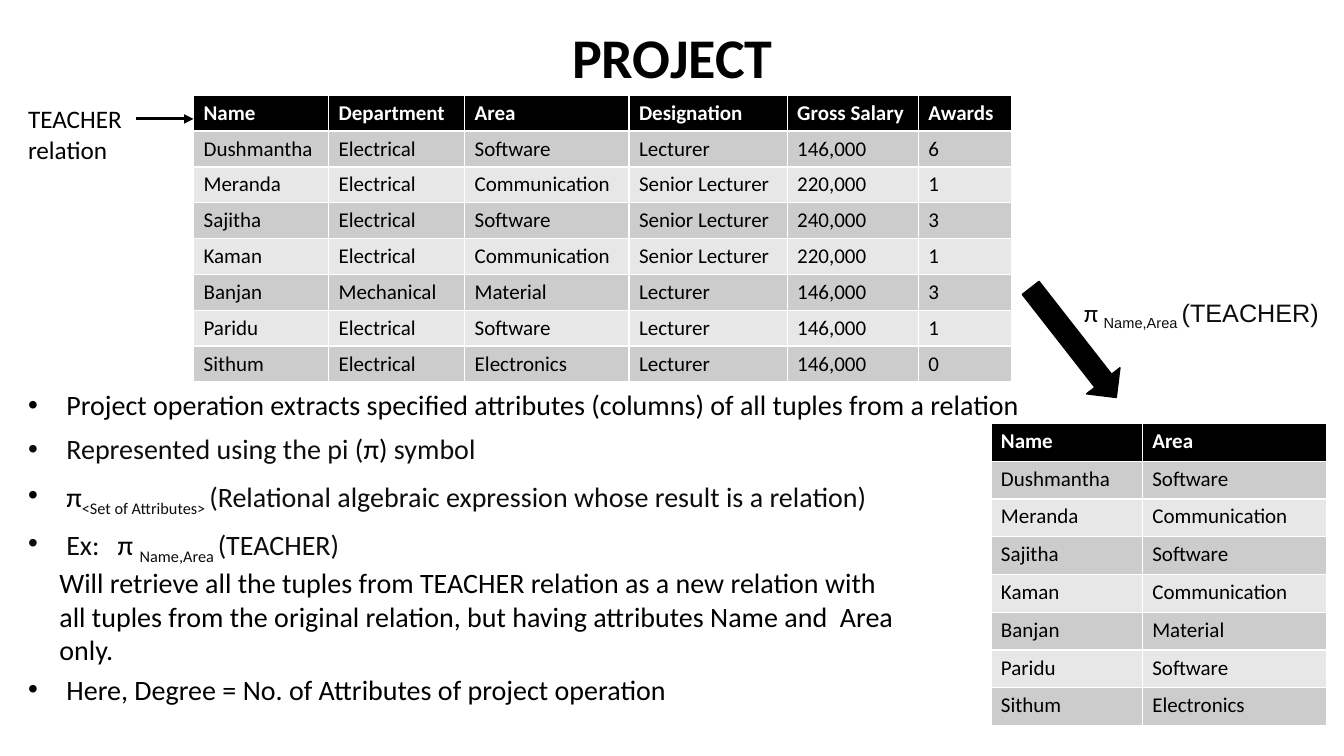
from lxml.etree import SubElement
from pptx import Presentation
from pptx.dml.color import RGBColor
from pptx.enum.shapes import MSO_CONNECTOR as Connector, MSO_SHAPE as Shape
from pptx.enum.text import MSO_ANCHOR as Anchor, MSO_AUTO_SIZE as AutoSize, PP_ALIGN as Align
from pptx.oxml.ns import qn
from pptx.util import Inches, Pt

COLORS = {"black": "000000", "ink": "0D0D0D", "white": "FFFFFF", "dark_band": "CCCCCC", "light_band": "E7E7E7"}
SLIDE_WIDTH, SLIDE_HEIGHT = Inches(13.333), Inches(7.5)
INDENT = Inches(0.38)

TEACHER = [
    ("Name", "Department", "Area", "Designation", "Gross Salary", "Awards"),
    ("Dushmantha", "Electrical", "Software", "Lecturer", "146,000", "6"),
    ("Meranda", "Electrical", "Communication", "Senior Lecturer", "220,000", "1"),
    ("Sajitha", "Electrical", "Software", "Senior Lecturer", "240,000", "3"),
    ("Kaman", "Electrical", "Communication", "Senior Lecturer", "220,000", "1"),
    ("Banjan", "Mechanical", "Material", "Lecturer", "146,000", "3"),
    ("Paridu", "Electrical", "Software", "Lecturer", "146,000", "1"),
    ("Sithum", "Electrical", "Electronics", "Lecturer", "146,000", "0"),
]
PROJECTION = [(row[0], row[2]) for row in TEACHER]

RULES = [
    [("Project operation extracts specified attributes (columns) of all tuples from a relation", {})],
    [("Represented using the pi (", {"color": "ink"}), ("π)", {}), (" symbol", {"color": "ink"})],
    [("π", {}), ("<Set of Attributes> ", {"color": "ink", "sub": True}),
     ("(Relational algebraic expression whose result is a relation)", {"color": "ink"})],
    [("Ex:\t", {"color": "ink"}), ("π ", {}), ("Name,Area ", {"color": "ink", "sub": True}),
     ("(TEACHER)", {"color": "ink"})],
]
RETRIEVAL = ("Will retrieve all the tuples from TEACHER relation as a new relation with all tuples from "
             "the original relation, but having attributes Name and  Area only.")
DEGREE = "Here, Degree = No. of Attributes of project operation"
FORMULA = [(" ", {"color": "ink"}), ("π ", {}), ("Name,Area ", {"color": "ink", "font": "Arial", "sub": True}),
           ("(TEACHER)", {"color": "ink", "font": "Arial"})]


def area(left, top, width, height):
    """Turn percentages of the slide into a box in slide units."""
    return (round(SLIDE_WIDTH * left / 100), round(SLIDE_HEIGHT * top / 100),
            round(SLIDE_WIDTH * width / 100), round(SLIDE_HEIGHT * height / 100))


def paint(fill, color):
    """Give a fill one solid colour."""
    fill.solid()
    fill.fore_color.rgb = RGBColor.from_string(COLORS[color])


def add_run(paragraph, words, size, color="black", font="Calibri", bold=False, sub=False):
    """Append one styled run to a paragraph."""
    run = paragraph.add_run()
    run.text = words
    run.font.size, run.font.name, run.font.bold = Pt(size), font, bold
    run.font.color.rgb = RGBColor.from_string(COLORS[color])
    if sub:
        run._r.get_or_add_rPr().set("baseline", "-25000")


def add_bullet(paragraph):
    """Give a paragraph a hanging bullet and a tab stop for the example."""
    props = paragraph._p.get_or_add_pPr()
    props.set("marL", str(INDENT))
    props.set("indent", str(-INDENT))
    SubElement(props, qn("a:buFont"), typeface="Arial")
    SubElement(props, qn("a:buChar"), char="•")
    stops = SubElement(props, qn("a:tabLst"))
    SubElement(stops, qn("a:tab"), pos=str(Inches(0.89)), algn="l")


def add_text(slide, box, lines, size, bold=False, bullet=False, spacing=None, before=0,
             align=Align.LEFT, anchor=Anchor.TOP, wrap=True):
    """Write lines of styled runs in the given box."""
    frame = slide.shapes.add_textbox(*box).text_frame
    frame.word_wrap, frame.vertical_anchor, frame.auto_size = wrap, anchor, AutoSize.NONE
    for index, runs in enumerate(lines):
        paragraph = frame.add_paragraph() if index else frame.paragraphs[0]
        paragraph.alignment = align
        if spacing:
            paragraph.line_spacing, paragraph.space_before = spacing, Pt(before)
        if bullet:
            add_bullet(paragraph)
        for words, style in runs:
            add_run(paragraph, words, size, bold=bold, **style)


def add_relation(slide, box, rows, shares):
    """Fill the given box with a relation whose columns take the given shares."""
    table = slide.shapes.add_table(len(rows), len(shares), *box).table
    for column, share in zip(table.columns, shares):
        column.width = round(box[2] * share / sum(shares))
    for index, values in enumerate(rows):
        header = index == 0
        table.rows[index].height = round(box[3] / len(rows))
        band = "black" if header else "dark_band" if index % 2 else "light_band"
        for cell, value in zip(table.rows[index].cells, values):
            paint(cell.fill, band)
            add_run(cell.text_frame.paragraphs[0], value, 15, "white" if header else "black", bold=header)


def add_pointer(slide, box):
    """Draw a thin arrow along the top of the box, from left to right."""
    left, top, width, _ = box
    pointer = slide.shapes.add_connector(Connector.STRAIGHT, left, top, left + width, top)
    pointer.line.width = Pt(2.25)
    paint(pointer.line.fill, "black")
    SubElement(pointer.line._get_or_add_ln(), qn("a:tailEnd"), type="triangle")
    SubElement(pointer._element.spPr, qn("a:effectLst"))


def add_projection_arrow(slide, box):
    """Draw the block arrow that leads to the projected relation."""
    arrow = slide.shapes.add_shape(Shape.DOWN_ARROW, *box)
    arrow.rotation = 322
    arrow.shadow.inherit = False
    paint(arrow.fill, "black")
    paint(arrow.line.fill, "black")
    arrow.line.width = Pt(1)


def add_project_slide(deck):
    """Build the slide on the project operation."""
    slide = deck.slides.add_slide(deck.slide_layouts[6])
    add_text(slide, area(8.78, 1.07, 82.5, 11.6), [[("PROJECT", {})]], 40, bold=True,
             spacing=0.9, align=Align.CENTER, anchor=Anchor.BOTTOM)
    add_text(slide, area(1.35, 51.07, 76.65, 28.13), RULES, 20, bullet=True, spacing=0.9, before=10)
    add_relation(slide, area(14.4, 12.6, 60.9, 37.87), TEACHER, (1.34, 1.35, 1.63, 1.57, 1.3, 0.93))
    add_text(slide, area(1.35, 13.07, 10.2, 9.47), [[("TEACHER", {})], [("relation", {})]], 18)
    add_pointer(slide, area(10.13, 15.73, 4.27, 0))
    add_text(slide, area(3.68, 74.13, 64.28, 14.8), [[(RETRIEVAL, {})]], 20)
    add_relation(slide, area(73.73, 56, 25, 40), PROJECTION, (1.5, 1.83))
    add_text(slide, area(1.35, 88.27, 69.08, 5.87), [[(DEGREE, {})]], 20, bullet=True)
    add_projection_arrow(slide, area(78.3, 36.13, 3.15, 18.4))
    add_text(slide, area(79.5, 38.67, 20.48, 5.33), [FORMULA], 18, wrap=False)


def main():
    """Create and save the presentation."""
    deck = Presentation()
    deck.slide_width, deck.slide_height = SLIDE_WIDTH, SLIDE_HEIGHT
    add_project_slide(deck)
    deck.save("out.pptx")


if __name__ == "__main__":
    main()
